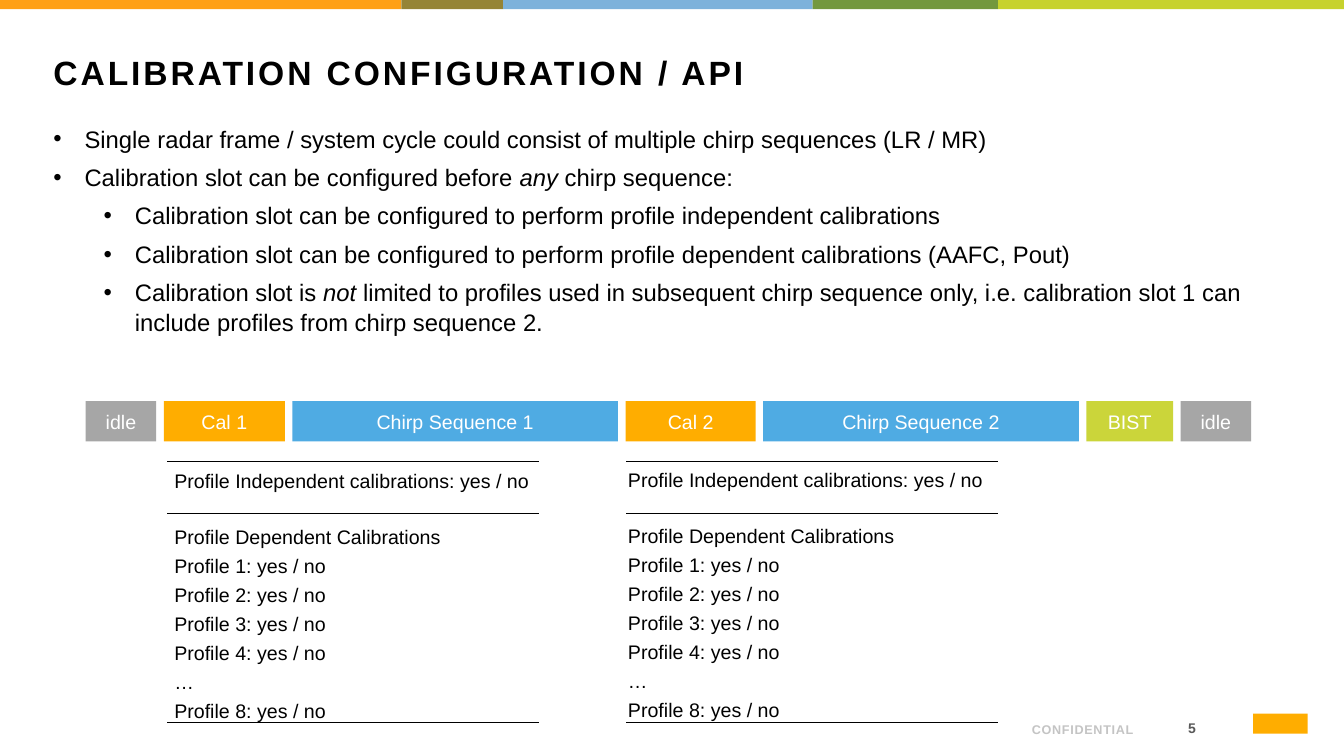
from itertools import accumulate

from lxml.etree import SubElement
from pptx import Presentation
from pptx.dml.color import RGBColor
from pptx.enum.shapes import MSO_CONNECTOR, MSO_SHAPE
from pptx.enum.text import MSO_ANCHOR, PP_ALIGN
from pptx.oxml.ns import qn
from pptx.util import Inches, Pt

STRIPES = [(39.8, "FFA015"), (10.1, "958436"), (30.7, "7DB2DB"), (18.4, "73983E"), (34.3, "C7D22D")]
SLOTS = [
    ("idle", 7, "A6A6A6"),
    ("Cal 1", 12, "FFAD00"),
    ("Chirp Sequence 1", 32.3, "4FABE3"),
    ("Cal 2", 12.9, "FFAD00"),
    ("Chirp Sequence 2", 31.3, "4FABE3"),
    ("BIST", 8.6, "CBD53A"),
    ("idle", 7, "A6A6A6"),
]
SLOT_GAP = 0.75
BULLETS = [
    (0, ["Single radar frame / system cycle could consist of multiple chirp sequences (LR / MR)"]),
    (0, ["Calibration slot can be configured before ", "any ", "chirp sequence:"]),
    (1, ["Calibration slot can be configured to perform profile independent calibrations"]),
    (1, ["Calibration slot can be configured to perform profile dependent calibrations (AAFC, Pout)"]),
    (1, ["Calibration slot is ", "not", " limited to profiles used in subsequent chirp sequence only, "
         "i.e. calibration slot 1 can include profiles from chirp sequence 2."]),
]
PROFILES = [f"Profile {number}: yes / no" for number in range(1, 5)] + ["…", "Profile 8: yes / no"]
SETTINGS = ["Profile Independent calibrations: yes / no", "Profile Dependent Calibrations", *PROFILES]
SETTING_COLUMNS = [((16.3, 45.9, 37.2, 28.4), 16.6), ((61.3, 45.8, 38.5, 28.4), 62.1)]
RULE_ROWS = [45.8, 50.9, 71.7]
RULE_LENGTH = 36.9


def colour(value):
    return RGBColor.from_string(value)


def grid(cells):
    return Inches(cells / 10)


def apply(target, values):
    for name, value in values.items():
        setattr(target, name, value)


class SlideBuilder:
    font = "Arial"
    ink = "000000"
    line_spacing = 1.05

    def __init__(self, deck):
        self.page = deck.slides.add_slide(deck.slide_layouts[5])

    def add_text(self, para, parts, size, ink=None, bold=False, tracking=0, **layout):
        apply(para, {"line_spacing": self.line_spacing, "alignment": PP_ALIGN.LEFT, **layout})
        for index, text in enumerate(parts):
            span = para.add_run()
            span.text = text
            apply(span.font, {"name": self.font, "size": Pt(size), "bold": bold, "italic": index % 2 == 1})
            span.font.color.rgb = colour(ink or self.ink)
            if tracking:
                span._r.get_or_add_rPr().set("spc", str(round(tracking * 100)))

    def title(self, text, place):
        box = self.page.shapes.title
        apply(box, dict(zip(("left", "top", "width", "height"), map(grid, place))))
        apply(box.text_frame, {"vertical_anchor": MSO_ANCHOR.TOP, "word_wrap": True})
        self.add_text(box.text_frame.paragraphs[0], [text], 24, bold=True, tracking=2.1)

    def bar(self, place, fill, label=None):
        box = self.page.shapes.add_shape(MSO_SHAPE.RECTANGLE, *map(grid, place))
        box.shadow.inherit = False
        box.fill.solid()
        box.fill.fore_color.rgb = colour(fill)
        box.line.fill.background()
        if label:
            margins = dict.fromkeys(("margin_left", "margin_top", "margin_right", "margin_bottom"), 0)
            apply(box.text_frame, {"vertical_anchor": MSO_ANCHOR.MIDDLE, **margins})
            self.add_text(box.text_frame.paragraphs[0], [label], 14, "FFFFFF", alignment=PP_ALIGN.CENTER)

    def frame(self, place, anchor=MSO_ANCHOR.TOP):
        box = self.page.shapes.add_textbox(*map(grid, place))
        apply(box.text_frame, {"word_wrap": True, "vertical_anchor": anchor})
        return box.text_frame

    def paragraphs(self, frame, count):
        return [frame.paragraphs[0]] + [frame.add_paragraph() for _ in range(count - 1)]

    def bullets(self, place, items):
        paras = self.paragraphs(self.frame(place), len(items))
        for para, (level, parts) in zip(paras, items):
            self.add_text(para, parts, 17, level=level, space_before=Pt(6))
            properties = para._p.get_or_add_pPr()
            properties.set("marL", str(grid(3.1 + 5 * level)))
            properties.set("indent", str(-grid(3.1)))
            SubElement(properties, qn("a:buFont")).set("typeface", self.font)
            SubElement(properties, qn("a:buChar")).set("char", "•")

    def settings(self, place, lines):
        paras = self.paragraphs(self.frame(place), len(lines))
        for index, (para, text) in enumerate(zip(paras, lines)):
            self.add_text(para, [text], 14, space_before=Pt(22.8 if index == 1 else 3))

    def footer(self, place, text, size, ink, tracking, anchor):
        para = self.frame(place, anchor).paragraphs[0]
        self.add_text(para, [text], size, ink, True, tracking, alignment=PP_ALIGN.RIGHT)

    def rule(self, left, top, length):
        ends = map(grid, (left, top, left + length, top))
        line = self.page.shapes.add_connector(MSO_CONNECTOR.STRAIGHT, *ends)
        line.line.color.rgb = colour(self.ink)
        line.line.width = Pt(0.75)
        SubElement(line._element.spPr, qn("a:effectLst"))


def main():
    deck = Presentation()
    apply(deck, {"slide_width": Inches(13.33), "slide_height": Inches(7.5)})
    slide = SlideBuilder(deck)

    stripe_lefts = accumulate((width for width, _ in STRIPES), initial=0)
    for left, (width, fill) in zip(stripe_lefts, STRIPES):
        slide.bar((left, 0, width, 0.9), fill)
    slide.bar((124.3, 70.8, 5.4, 2), "FFAD00")
    slide.footer((112.8, 70.7, 6.8, 3), "5", 10, "595959", 3, MSO_ANCHOR.MIDDLE)
    slide.footer((85.1, 70.2, 28.3, 3.4), "CONFIDENTIAL", 9, "C4C4C4", 0.5, MSO_ANCHOR.BOTTOM)

    slide.title("CALIBRATION CONFIGURATION / API", (4.3, 4.5, 125, 7.2))
    slide.bullets((4.3, 11.7, 126.8, 21.5), BULLETS)

    slot_lefts = accumulate((width + SLOT_GAP for _, width, _ in SLOTS), initial=8.5)
    for left, (label, width, fill) in zip(slot_lefts, SLOTS):
        slide.bar((left, 39.8, width, 4), fill, label)

    for place, rule_left in SETTING_COLUMNS:
        slide.settings(place, SETTINGS)
        for row in RULE_ROWS:
            slide.rule(rule_left, row, RULE_LENGTH)

    deck.save("out.pptx")


if __name__ == "__main__":
    main()
